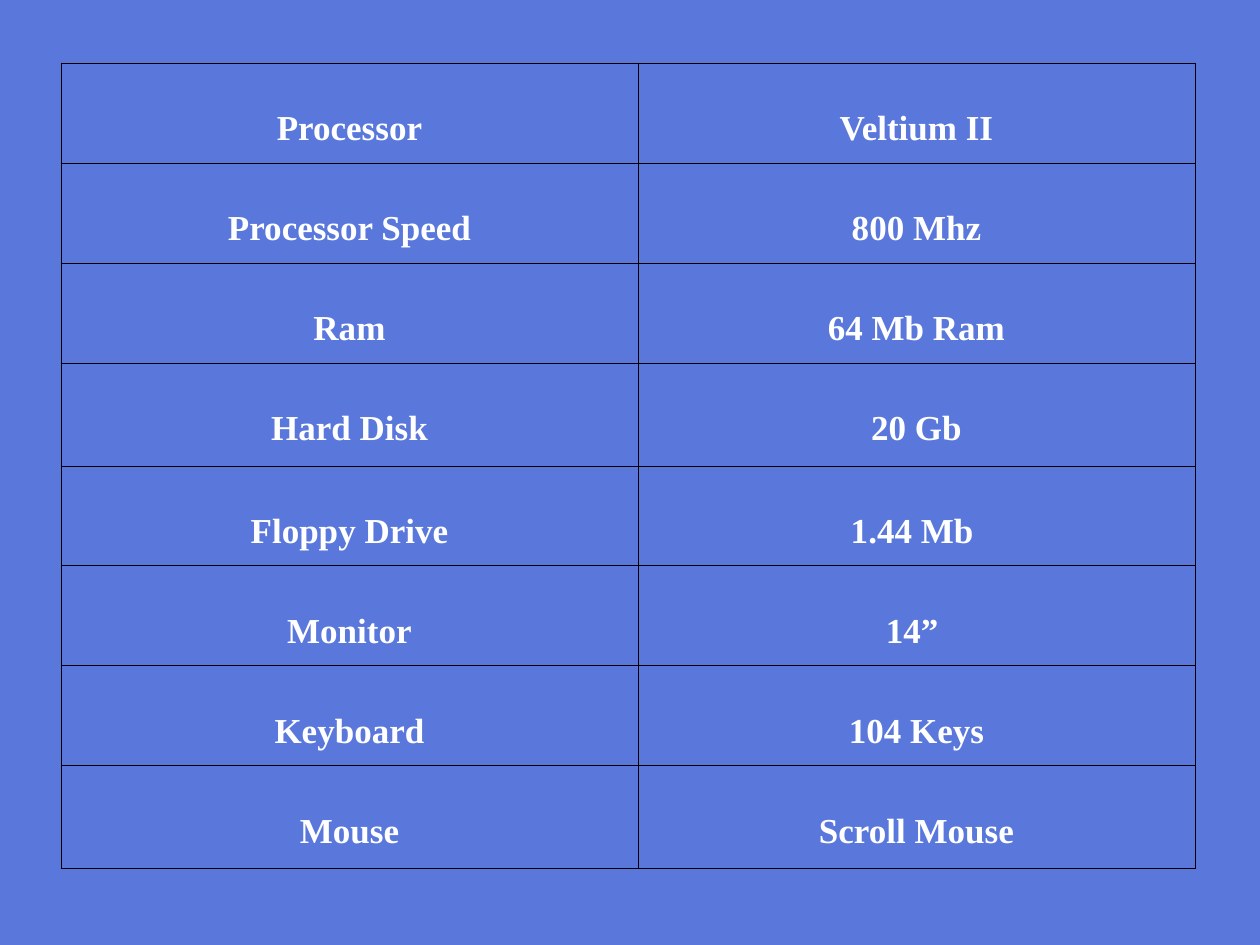
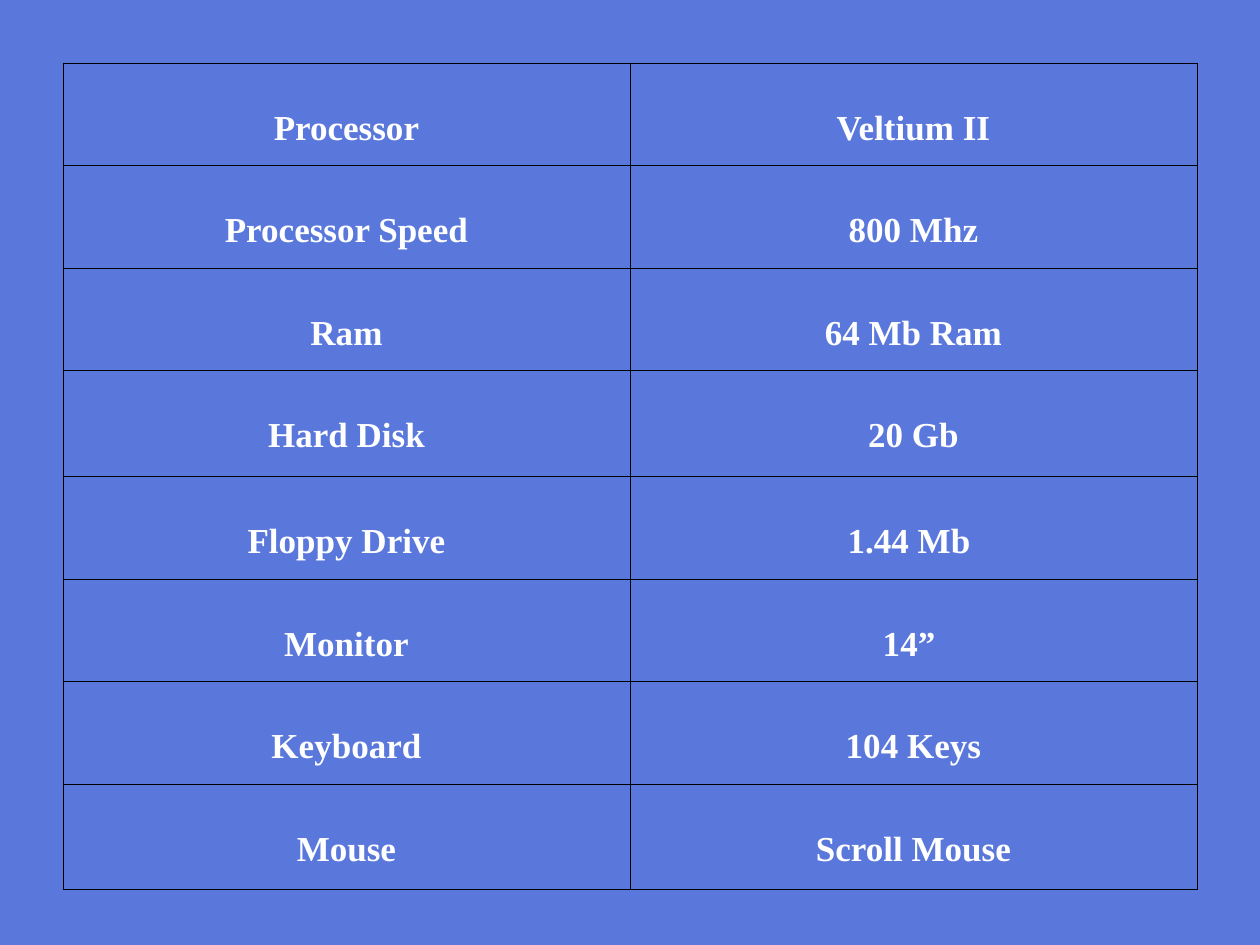
"""Build two slides that each show a table of computer specifications."""
from dataclasses import dataclass

from lxml import etree
from pptx import Presentation, util as u
from pptx.dml import color
from pptx.enum import text
from pptx.oxml import ns

EMU_PER_PIXEL = u.Inches(1) // 126


@dataclass(frozen=True)
class Theme:
    background: str = "5A78DC"
    ink: str = "FFFFFF"
    border: str = "000000"
    font: str = "Times New Roman"
    text_size: float = 20
    border_width: float = 0.45
    margin_side: int = 13
    margin_top: int = 46
    margin_bottom: int = 6


@dataclass(frozen=True)
class TableLayout:
    left: int
    top: int
    columns: tuple[int, int]
    height: int
    tall_row: int


THEME = Theme()
LAYOUTS = (
    TableLayout(left=61, top=63, columns=(577, 557), height=806, tall_row=103),
    TableLayout(left=63, top=63, columns=(567, 567), height=827, tall_row=106),
)
SPECIFICATIONS = (
    ("Processor", "Veltium II"),
    ("Processor Speed", "800 Mhz"),
    ("Ram", "64 Mb Ram"),
    ("Hard Disk", "20 Gb"),
    ("Floppy Drive", "1.44 Mb "),
    ("Monitor", "14” "),
    ("Keyboard", "104 Keys"),
    ("Mouse", "Scroll Mouse"),
)


def px(pixels: float) -> u.Emu:
    return u.Emu(round(pixels * EMU_PER_PIXEL))


def row_heights(layout: TableLayout) -> list[float]:
    count = len(SPECIFICATIONS)
    tall = [index % 4 == 3 for index in range(count)]
    regular = (layout.height - sum(tall) * layout.tall_row) / (count - sum(tall))
    return [layout.tall_row if is_tall else regular for is_tall in tall]


def draw_borders(cell) -> None:
    properties = cell._tc.get_or_add_tcPr()
    for side in ("lnL", "lnR", "lnT", "lnB"):
        line = etree.SubElement(properties, ns.qn(f"a:{side}"),
                                w=str(u.Pt(THEME.border_width)))
        fill = etree.SubElement(line, ns.qn("a:solidFill"))
        etree.SubElement(fill, ns.qn("a:srgbClr"), val=THEME.border)


def fill_cell(cell, words: str) -> None:
    draw_borders(cell)
    cell.fill.background()
    cell.margin_left = cell.margin_right = px(THEME.margin_side)
    cell.margin_top = px(THEME.margin_top)
    cell.margin_bottom = px(THEME.margin_bottom)
    cell.vertical_anchor = text.MSO_ANCHOR.TOP
    para = cell.text_frame.paragraphs[0]
    para.alignment = text.PP_ALIGN.CENTER
    span = para.add_run()
    span.text = words
    span.font.name = THEME.font
    span.font.size = u.Pt(THEME.text_size)
    span.font.bold = True
    span.font.color.rgb = color.RGBColor.from_string(THEME.ink)


def draw_table(page, layout: TableLayout) -> None:
    table = page.shapes.add_table(
        len(SPECIFICATIONS), len(layout.columns), px(layout.left), px(layout.top),
        px(sum(layout.columns)), px(layout.height)).table
    table.first_row = table.horz_banding = False
    for column, width in zip(table.columns, layout.columns):
        column.width = px(width)
    for row, height, entries in zip(table.rows, row_heights(layout), SPECIFICATIONS):
        row.height = px(height)
        for cell, words in zip(row.cells, entries):
            fill_cell(cell, words)


def add_page(deck, layout: TableLayout) -> None:
    page = deck.slides.add_slide(deck.slide_layouts[6])
    page.background.fill.solid()
    page.background.fill.fore_color.rgb = color.RGBColor.from_string(THEME.background)
    draw_table(page, layout)


def main() -> None:
    deck = Presentation()
    deck.slide_width, deck.slide_height = px(1260), px(945)
    for layout in LAYOUTS:
        add_page(deck, layout)
    deck.save("out.pptx")


main()
